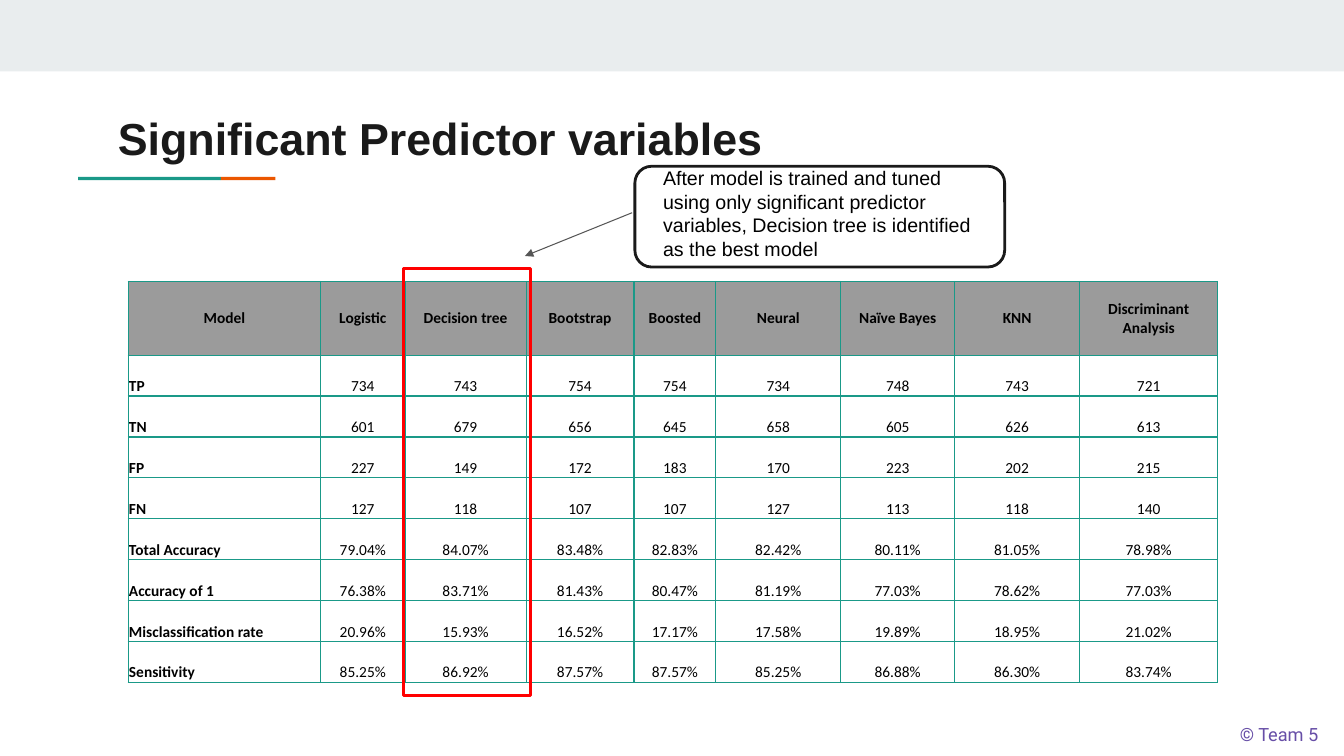
from lxml.etree import SubElement
from pptx import Presentation
from pptx.dml.color import RGBColor
from pptx.enum.shapes import MSO_CONNECTOR as Link, MSO_SHAPE as Preset
from pptx.enum.text import MSO_ANCHOR as Anchor, MSO_AUTO_SIZE as AutoSize, PP_ALIGN as Align
from pptx.oxml.ns import qn
from pptx.util import Cm, Pt

TEAL, ORANGE, RED, INK = "1A9988", "EB5600", "FF0000", "1A1A1A"
BLACK, GREY = "000000", "9B9B9B"
MODEL_WIDTHS = [4.85, 2.13, 3.05, 2.72, 2.06, 3.15, 2.87, 3.15, 3.48]
HEADER_HEIGHT, METRIC_HEIGHT = 1.86, 1.03
RESULTS = [
    ["Model", "Logistic", "Decision tree", "Bootstrap", "Boosted", "Neural",
     "Naïve Bayes", "KNN", "Discriminant Analysis"],
    ["TP", "734", "743", "754", "754", "734", "748", "743", "721"],
    ["TN", "601", "679", "656", "645", "658", "605", "626", "613"],
    ["FP", "227", "149", "172", "183", "170", "223", "202", "215"],
    ["FN", "127", "118", "107", "107", "127", "113", "118", "140"],
    ["Total Accuracy", "79.04%", "84.07%", "83.48%", "82.83%", "82.42%",
     "80.11%", "81.05%", "78.98%"],
    ["Accuracy of 1", "76.38%", "83.71%", "81.43%", "80.47%", "81.19%",
     "77.03%", "78.62%", "77.03%"],
    ["Misclassification rate", "20.96%", "15.93%", "16.52%", "17.17%", "17.58%",
     "19.89%", "18.95%", "21.02%"],
    ["Sensitivity", "85.25%", "86.92%", "87.57%", "87.57%", "85.25%",
     "86.88%", "86.30%", "83.74%"],
]


def paint(colour_format, colour):
    colour_format.rgb = RGBColor.from_string(colour)


def write(frame, text, size, font, colour, bold=False, align=Align.LEFT):
    paragraph = frame.paragraphs[0]
    paragraph.alignment = align
    run = paragraph.add_run()
    run.text = text
    run.font.size = Pt(size)
    run.font.name = font
    run.font.bold = bold
    paint(run.font.color, colour)


def set_frame(frame, side, vertical):
    frame.word_wrap = True
    frame.auto_size = AutoSize.NONE
    frame.vertical_anchor = Anchor.TOP
    frame.margin_left = frame.margin_right = Cm(side)
    frame.margin_top = frame.margin_bottom = Cm(vertical)


def add_label(slide, box, text, vertical, *style, **options):
    frame = slide.shapes.add_textbox(*map(Cm, box)).text_frame
    set_frame(frame, 0.25, vertical)
    write(frame, text, *style, **options)


def add_block(slide, box, colour):
    block = slide.shapes.add_shape(Preset.RECTANGLE, *map(Cm, box))
    block.shadow.inherit = False
    block.fill.solid()
    paint(block.fill.fore_color, colour)
    block.line.fill.background()


def add_outline(slide, preset, box, colour):
    outline = slide.shapes.add_shape(preset, *map(Cm, box))
    outline.shadow.inherit = False
    outline.fill.background()
    outline.line.width = Pt(2)
    paint(outline.line.color, colour)


def add_arrow(slide, ends, colour):
    arrow = slide.shapes.add_connector(Link.STRAIGHT, *map(Cm, ends))
    arrow.line.width = Pt(0.75)
    paint(arrow.line.color, colour)
    SubElement(arrow.line._get_or_add_ln(), qn("a:tailEnd"), type="triangle")
    SubElement(arrow._element.spPr, qn("a:effectLst"))


def add_borders(cell, colour):
    properties = cell._tc.get_or_add_tcPr()
    for side in ("L", "R", "T", "B"):
        border = SubElement(properties, qn(f"a:ln{side}"), w=str(Pt(1)))
        fill = SubElement(border, qn("a:solidFill"))
        SubElement(fill, qn("a:srgbClr"), val=colour)


def fill_cell(cell, text, is_header, is_metric):
    add_borders(cell, TEAL)
    cell.margin_left = cell.margin_right = cell.margin_top = Cm(0.02)
    cell.margin_bottom = 0
    cell.vertical_anchor = Anchor.MIDDLE if is_header else Anchor.BOTTOM
    if is_header:
        cell.fill.solid()
        paint(cell.fill.fore_color, GREY)
    else:
        cell.fill.background()
    align = Align.LEFT if is_metric and not is_header else Align.CENTER
    write(cell.text_frame, text, 11, "Calibri", BLACK, is_header or is_metric, align)


def add_results(slide, left, top):
    heights = [HEADER_HEIGHT] + [METRIC_HEIGHT] * (len(RESULTS) - 1)
    box = (left, top, sum(MODEL_WIDTHS), sum(heights))
    results = slide.shapes.add_table(len(RESULTS), len(MODEL_WIDTHS), *map(Cm, box)).table
    results.horz_banding = False
    results.first_row = False
    for column, width in zip(results.columns, MODEL_WIDTHS):
        column.width = Cm(width)
    for r, (row, height) in enumerate(zip(results.rows, heights)):
        row.height = Cm(height)
        for c, text in enumerate(RESULTS[r]):
            fill_cell(results.cell(r, c), text, r == 0, c == 0)


def set_title(slide, box, text):
    title = slide.shapes.title
    title.left, title.top, title.width, title.height = map(Cm, box)
    set_frame(title.text_frame, 0.25, 0.13)
    write(title.text_frame, text, 32, "Arial", INK, bold=True)


def main():
    deck = Presentation()
    deck.slide_width, deck.slide_height = Cm(33.87), Cm(19.05)
    slide = deck.slides.add_slide(deck.slide_layouts[5])

    add_label(slide, (30.61, 17.98, 3.25, 1.07), "© Team 5", 0.25,
              13, "Roboto", "674EA7", align=Align.CENTER)
    add_block(slide, (0, 0, 33.87, 1.8), "E9EDEE")
    add_block(slide, (1.97, 4.46, 3.6, 0.08), TEAL)
    add_block(slide, (5.57, 4.46, 1.37, 0.08), ORANGE)
    set_title(slide, (2.72, 2.67, 28.96, 2.24), "Significant Predictor variables")

    add_results(slide, 3.23, 7.09)
    add_outline(slide, Preset.FLOWCHART_PROCESS, (10.16, 6.76, 3.2, 10.77), RED)
    add_arrow(slide, (15.93, 5.36, 13.23, 6.45), "565656")
    add_outline(slide, Preset.ROUNDED_RECTANGLE, (16, 4.19, 9.32, 2.54), INK)
    add_label(slide, (16.46, 4.06, 8.56, 3.25),
              "After model is trained and tuned using only significant predictor "
              "variables, Decision tree is identified as the best model",
              0.13, 14, "Arial", BLACK)

    deck.save("out.pptx")


if __name__ == "__main__":
    main()
